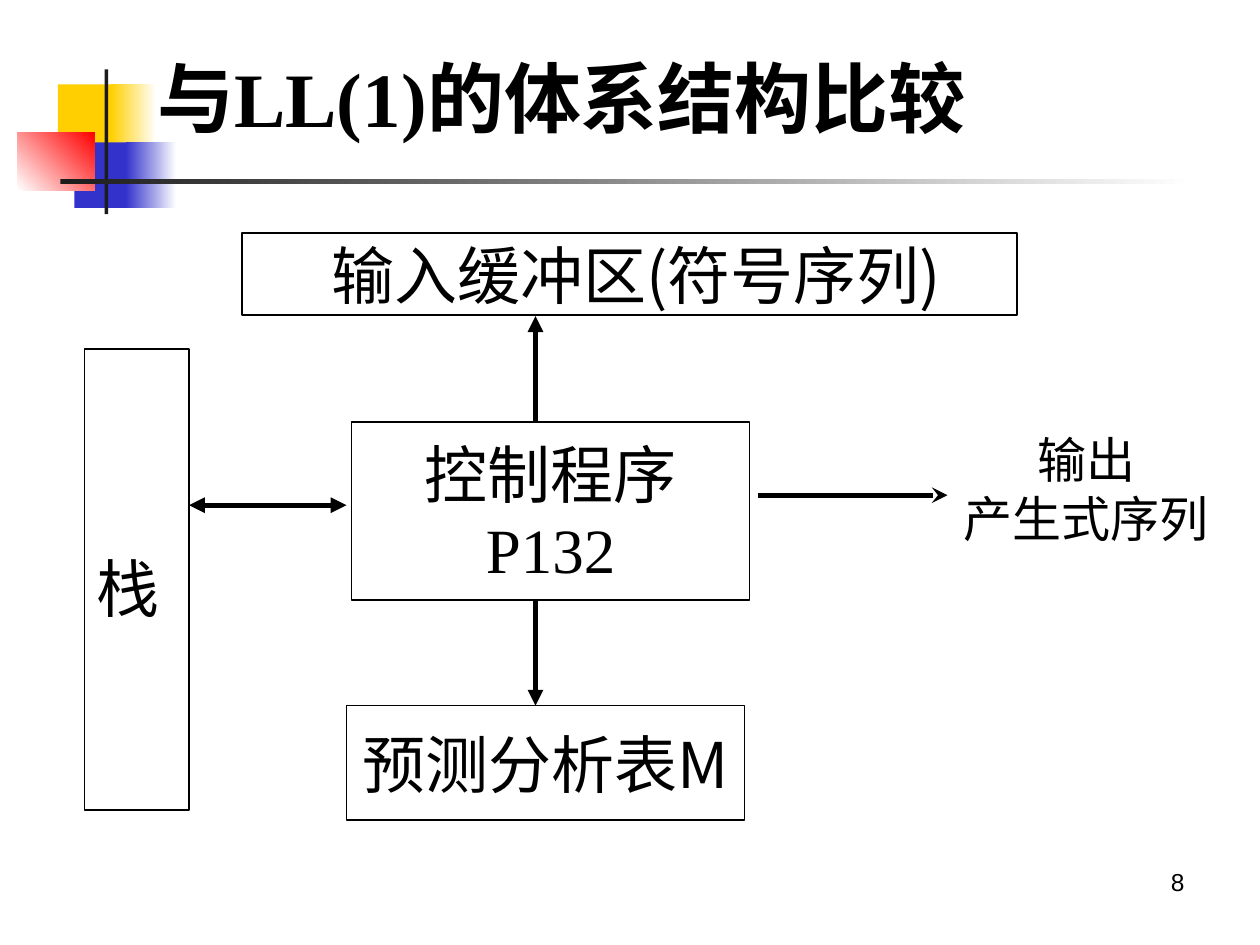
"""Build the slide comparing the parser architecture with LL(1)."""
from lxml import etree
from pptx import Presentation
from pptx.dml.color import RGBColor
from pptx.enum import shapes, text
from pptx.oxml import ns
from pptx.util import Inches, Pt

BLACK = RGBColor(0x00, 0x00, 0x00)
WHITE = RGBColor(0xFF, 0xFF, 0xFF)
YELLOW = RGBColor(0xFF, 0xCF, 0x01)
BLUE = RGBColor(0x33, 0x33, 0xCC)
RED = RGBColor(0xFF, 0x00, 0x00)
CHARCOAL = RGBColor(0x1C, 0x1C, 0x1C)
SANS, SERIF = "Noto Sans CJK SC", "Times New Roman"
LEFT, CENTER, RIGHT = text.PP_ALIGN.LEFT, text.PP_ALIGN.CENTER, text.PP_ALIGN.RIGHT
TOP, MIDDLE = text.MSO_ANCHOR.TOP, text.MSO_ANCHOR.MIDDLE


def write(shape, lines, size, align, anchor, wrap, bold=False):
    frame = shape.text_frame
    frame.word_wrap = wrap
    frame.vertical_anchor = anchor
    for index, (words, font_name) in enumerate(lines):
        paragraph = frame.add_paragraph() if index else frame.paragraphs[0]
        paragraph.text = words
        paragraph.alignment = align
        font = paragraph.font
        font.name = font_name
        font.size = Pt(size)
        font.bold = bold
        font.color.rgb = BLACK


def add_rectangle(left, top, width, height):
    shape = slide.shapes.add_shape(
        shapes.MSO_SHAPE.RECTANGLE,
        Inches(left), Inches(top), Inches(width), Inches(height))
    shape.shadow.inherit = False
    return shape


presentation = Presentation()
presentation.slide_width = Inches(10)
presentation.slide_height = Inches(7.5)
slide = presentation.slides.add_slide(presentation.slide_layouts[6])

decorations = [
    ((0.46, 0.67, 0.48, 0.52), YELLOW, YELLOW, 0),
    ((0.88, 0.67, 0.36, 0.52), YELLOW, WHITE, 0),
    ((0.59, 1.13, 0.46, 0.52), BLUE, BLUE, 0),
    ((1, 1.13, 0.4, 0.52), BLUE, WHITE, 0),
    ((0.14, 1.05, 0.61, 0.46), WHITE, RED, 45),
    ((0.83, 0.55, 0.03, 1.15), CHARCOAL, CHARCOAL, 0),
    ((0.48, 1.42, 9, 0.04), CHARCOAL, WHITE, 0),
]
for bounds, start, end, angle in decorations:
    decoration = add_rectangle(*bounds)
    decoration.line.fill.background()
    fill = decoration.fill
    if start == end:
        fill.solid()
        fill.fore_color.rgb = start
    else:
        fill.gradient()
        fill.gradient_angle = angle
        for stop, color, position in zip(fill.gradient_stops, (start, end), (0, 1)):
            stop.color.rgb = color
            stop.position = position

labels = [
    ((7.17, 6.83, 2.33, 0.52), [("8", "Arial")], 14, RIGHT, TOP, False),
    ((1.15, 0.36, 7, 0.82), [("与LL(1)的体系结构比较", SERIF)], 44, LEFT, MIDDLE, True),
    ((7.44, 3.36, 2.36, 1.04), [("输出", SANS), ("产生式序列", SANS)],
     28, CENTER, TOP, False),
]
for bounds, lines, size, align, anchor, bold in labels:
    label = slide.shapes.add_textbox(*map(Inches, bounds))
    write(label, lines, size, align, anchor, True, bold)

boxes = [
    ((1.92, 1.85, 6.15, 0.65), [(" 输入缓冲区(符号序列)", SANS)], CENTER, 1),
    ((0.67, 2.77, 0.83, 3.66), [("栈", SANS)], LEFT, 1.2),
    ((2.79, 3.35, 3.16, 1.41), [("控制程序", SANS), ("P132", SERIF)], CENTER, 1),
    ((2.75, 5.6, 3.16, 0.91), [("预测分析表M", SANS)], CENTER, 1),
]
for bounds, lines, align, spacing in boxes:
    box = add_rectangle(*bounds)
    box.fill.background()
    box.line.color.rgb = BLACK
    box.line.width = Pt(1)
    write(box, lines, 36, align, MIDDLE, False)
    box.text_frame.paragraphs[0].line_spacing = spacing

arrows = [
    ((4.25, 3.35, 4.25, 2.51), {"tailEnd": "triangle"}),
    ((2.75, 4.01, 1.5, 4.01), {"headEnd": "triangle", "tailEnd": "triangle"}),
    ((4.25, 5.6, 4.25, 4.76), {"headEnd": "triangle"}),
    ((6.02, 3.93, 7.52, 3.93), {"tailEnd": "stealth"}),
]
for points, ends in arrows:
    arrow = slide.shapes.add_connector(
        shapes.MSO_CONNECTOR.STRAIGHT, *map(Inches, points))
    arrow.line.color.rgb = BLACK
    arrow.line.width = Pt(3)
    properties = arrow.element.spPr
    outline = properties.find(ns.qn("a:ln"))
    for end, kind in ends.items():
        etree.SubElement(outline, ns.qn(f"a:{end}"), type=kind)
    etree.SubElement(properties, ns.qn("a:effectLst"))

presentation.save("out.pptx")
